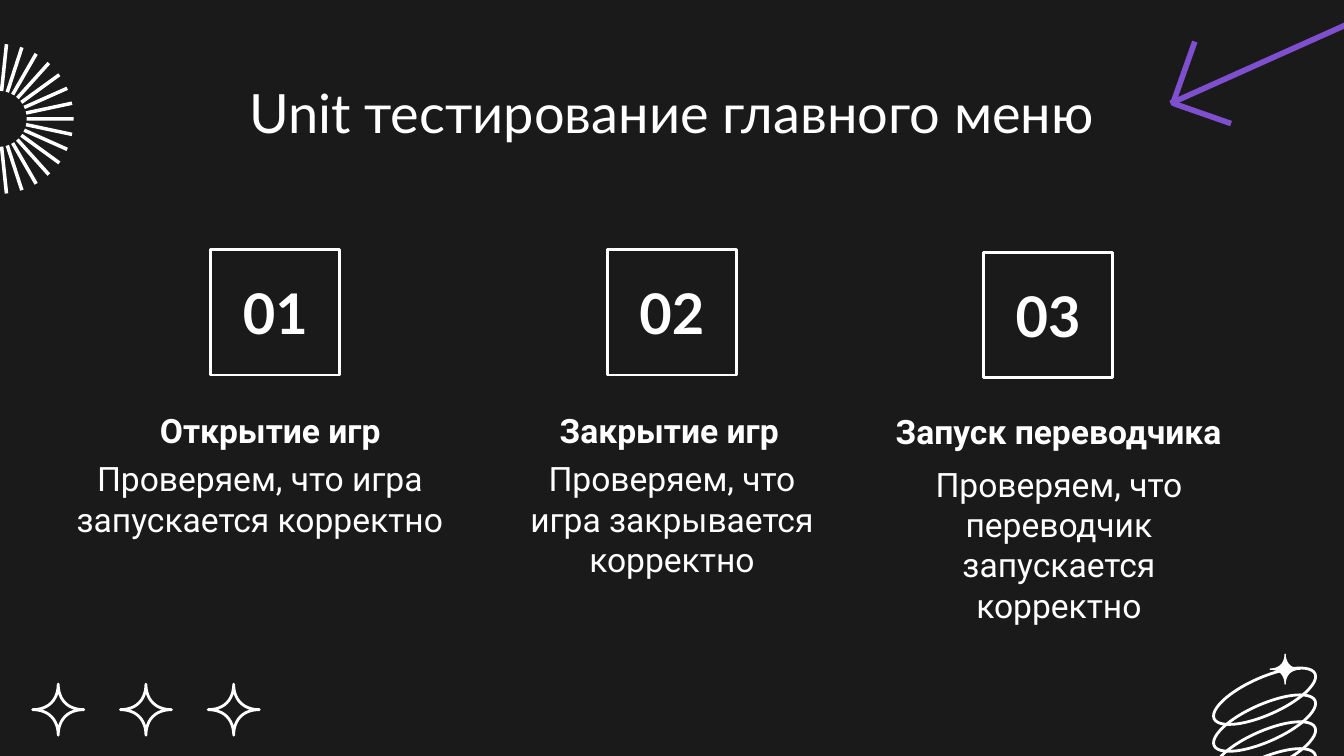
import math

import pptx
import pptx.dml.color
import pptx.enum.shapes
import pptx.enum.text
import pptx.oxml
import pptx.oxml.ns
import pptx.util

Pt = pptx.util.Pt
ANCHOR = pptx.enum.text.MSO_ANCHOR
SHAPE = pptx.enum.shapes.MSO_SHAPE
DARK = pptx.dml.color.RGBColor(0x1A, 0x1A, 0x1A)
WHITE = pptx.dml.color.RGBColor(0xFF, 0xFF, 0xFF)
PURPLE = pptx.dml.color.RGBColor(0x7E, 0x4F, 0xCF)

# Per column: number, its box (left, top); heading and its box (left, top, width);
# description and its box (left, top, width, height)
COLUMNS = [
    ("01", (113, 133.9), "Открытие игр", (22.3, 189.4, 234),
     "Проверяем, что игра запускается корректно", (28.8, 238.3, 221, 36.7)),
    ("02", (325.4, 133.9), "Закрытие игр", (242.6, 189.4, 221),
     "Проверяем, что игра закрывается корректно", (269.3, 238.3, 181.4, 78.5)),
    ("03", (527, 135.4), "Запуск переводчика", (439.9, 190.1, 243.4),
     "Проверяем, что переводчик запускается корректно", (476.6, 241.2, 181.4, 49)),
]


def style_shape(s, fill=None, line=None, width=1.5):
    s.shadow.inherit = False
    if fill is None:
        s.fill.background()
    else:
        s.fill.solid()
        s.fill.fore_color.rgb = fill
    if line is None:
        s.line.fill.background()
    else:
        s.line.color.rgb = line
        s.line.width = Pt(width)


def write_text(s, text, size, font, bold=False, anchor=ANCHOR.TOP, shift=0):
    """Centre white text in a shape; shift widens the left inset."""
    tf = s.text_frame
    tf.word_wrap = True
    tf.vertical_anchor = anchor
    tf.margin_left = Pt(7.2 + shift)
    tf.margin_right = tf.margin_top = tf.margin_bottom = Pt(7.2)
    p = tf.paragraphs[0]
    p.text = text
    p.alignment = pptx.enum.text.PP_ALIGN.CENTER
    p.font.size = Pt(size)
    p.font.name = font
    p.font.bold = bold
    p.font.color.rgb = WHITE


def add_text(slide, box, *args, **options):
    s = slide.shapes.add_textbox(*map(Pt, box))
    write_text(s, *args, **options)


def add_number(slide, left, top, number):
    s = slide.shapes.add_shape(SHAPE.RECTANGLE, Pt(left), Pt(top), Pt(69.1), Pt(67))
    style_shape(s, line=WHITE)
    write_text(s, number, 30, "Lato", bold=True, anchor=ANCHOR.MIDDLE)


def add_outlines(slide, outlines, **style):
    """Draw closed polygons as one freeform."""
    paths = [[(Pt(x), Pt(y)) for x, y in outline] for outline in outlines]
    builder = slide.shapes.build_freeform(*paths[0][0])
    for i, path in enumerate(paths):
        if i:
            builder.move_to(*path[0])
        builder.add_line_segments(path[1:], close=True)
    style_shape(builder.convert_to_shape(), **style)


def sparkle(cx, cy, radius):
    """Points of a four-pointed star with concave sides."""
    def bend(v):
        return math.copysign(abs(v) ** 3.8, v)

    angles = [math.radians(5 * i) for i in range(72)]
    return [(cx + radius * bend(math.cos(a)), cy + radius * bend(math.sin(a)))
            for a in angles]


def ray(cx, cy, inner, outer, half, angle):
    c, s = math.cos(angle), math.sin(angle)
    corners = [(inner, -half), (outer, -half), (outer, half), (inner, half)]
    return [(cx + r * c - w * s, cy + r * s + w * c) for r, w in corners]


def add_spring(slide):
    width, height = 59.2, 20
    for i in range(4):
        cx, cy = 677.5, 373 + 14.4 * i
        s = slide.shapes.add_shape(SHAPE.OVAL, Pt(cx - width / 2), Pt(cy - height / 2),
                                   Pt(width), Pt(height))
        s.rotation = -24
        style_shape(s, line=WHITE)
    add_outlines(slide, [sparkle(688.5, 358.5, 8)], fill=WHITE, line=WHITE, width=0.75)


def add_line(slide, x1, y1, x2, y2):
    s = slide.shapes.add_connector(pptx.enum.shapes.MSO_CONNECTOR.STRAIGHT,
                                   Pt(x1), Pt(y1), Pt(x2), Pt(y2))
    s.line.color.rgb = PURPLE
    s.line.width = Pt(3)
    properties = s._element.find(pptx.oxml.ns.qn("p:spPr"))
    properties.append(pptx.oxml.parse_xml(
        "<a:effectLst %s/>" % pptx.oxml.ns.nsdecls("a")))


def add_arrow(slide):
    add_line(slide, 627.1, 55.4, 723.6, 12.2)
    add_line(slide, 628.6, 55.4, 659.5, 66.2)
    add_line(slide, 628.6, 54.7, 640.1, 22.3)


def main():
    prs = pptx.Presentation()
    prs.slide_width, prs.slide_height = Pt(720), Pt(405)
    slide = prs.slides.add_slide(prs.slide_layouts[6])
    slide.background.fill.solid()
    slide.background.fill.fore_color.rgb = DARK

    add_outlines(slide, [sparkle(31.2 + 47 * i, 380.2, 13.7) for i in range(3)],
                 line=WHITE)
    add_spring(slide)
    add_outlines(slide, [ray(-0.7, 63.7, 15, 40.2, 0.95, math.radians(12 * i))
                         for i in range(30)], fill=WHITE)

    add_text(slide, (56.9, 35.3, 606.2, 45.4), "Unit тестирование главного меню",
             29, "Lato")
    for number, place, heading, heading_box, description, box in COLUMNS:
        add_text(slide, box, description, 18, "Roboto")
        add_number(slide, *place, number)
        add_text(slide, (*heading_box, 59), heading, 18, "Roboto", bold=True,
                 anchor=ANCHOR.BOTTOM, shift=10.8)
    add_arrow(slide)
    prs.save("out.pptx")


if __name__ == "__main__":
    main()
